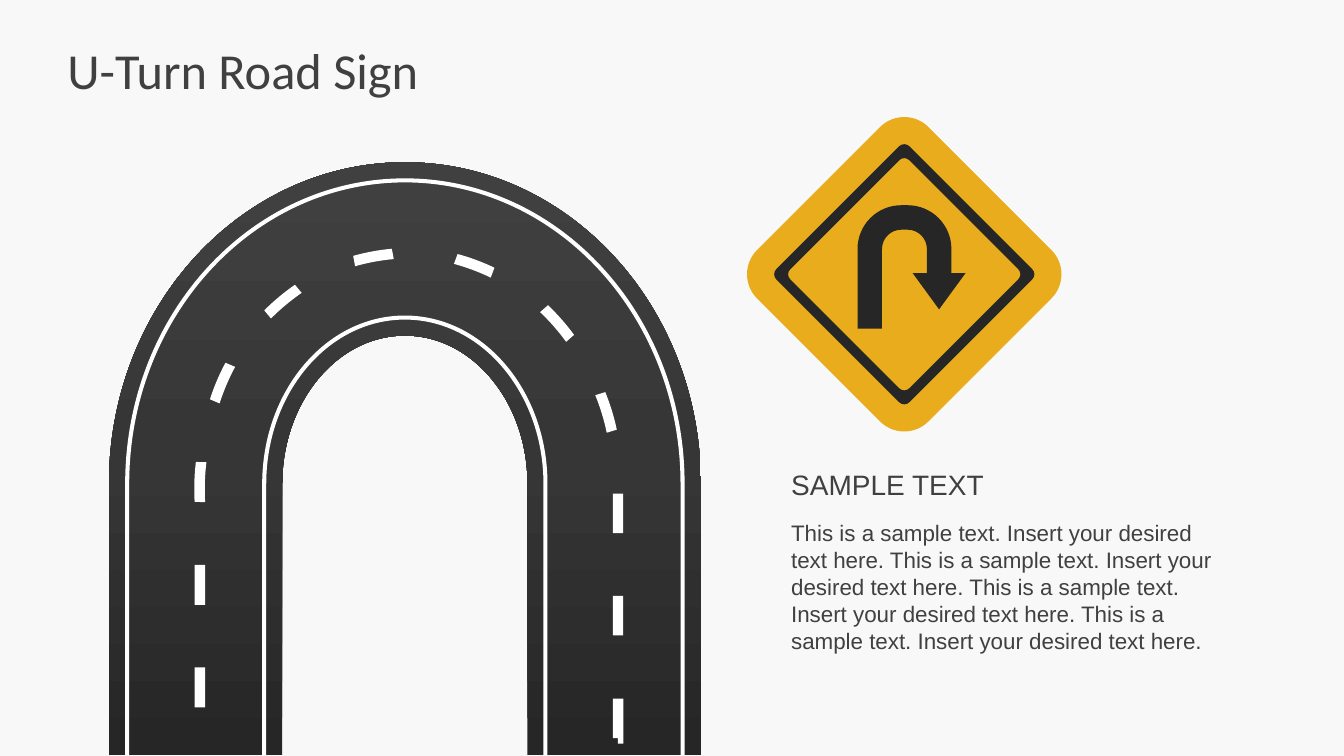
import math
from copy import deepcopy
from typing import NamedTuple

from pptx import Presentation
from pptx import util as u
from pptx.dml.color import RGBColor
from pptx.enum import shapes, text
from pptx.oxml.ns import qn

COLORS = {
    "back": "F8F8F8", "ink": "404040", "paint": "FFFFFF", "sign": "E9AC1C",
    "dark": "262626", "mid": "363636", "light": "404040",
}
Point = tuple[float, float]
Contour = list[tuple[Point, ...]]  # one point is a line, three are a curve

ROAD_X, BEND_Y, ROAD_END = 289.2, 345.6, 539.3
SIGN_X, SIGN_Y = 645.9, 195.9
DASH_W = 7.5


class Label(NamedTuple):
    words: str
    x: float
    y: float
    w: float
    h: float
    font: str
    size: float
    inset_x: float = 7.2
    inset_y: float = 3.6
    anchor: text.MSO_ANCHOR = text.MSO_ANCHOR.TOP
    fit: text.MSO_AUTO_SIZE = text.MSO_AUTO_SIZE.SHAPE_TO_FIT_TEXT


class Arch(NamedTuple):
    rx: float
    ry: float
    thickness: float


class BendDash(NamedTuple):
    x0: float
    y0: float
    x1: float
    y1: float


class DashColumn(NamedTuple):
    x: float
    top: float
    pitch: float
    length: float
    count: int


LABELS = [
    Label("U-Turn Road Sign", 48.2, 21.6, 864, 56.2, "Calibri", 36, 0, 5,
          text.MSO_ANCHOR.MIDDLE, text.MSO_AUTO_SIZE.NONE),
    Label("This is a sample text. Insert your desired text here. This is a sample text. "
          "Insert your desired text here. This is a sample text. Insert your desired text here. "
          "This is a sample text. Insert your desired text here.",
          558, 367.6, 329.8, 104.4, "Arial", 16),
    Label("SAMPLE TEXT", 558, 330.5, 400, 31.7, "Arial", 20),
]
ROAD = Arch(211.4, 229.7, 123.8)
EDGE_LINES = [Arch(101.9, 120.2, 2.9), Arch(199.8, 218.2, 2.9)]
# Clockwise round the bend
BEND_DASHES = [
    BendDash(142.8, 358.6, 143.7, 330.1), BendDash(153.4, 286.7, 164.5, 260.6),
    BendDash(191.2, 224.6, 213.1, 206.3), BendDash(253, 186.5, 280.6, 181.4),
    BendDash(325.6, 185, 351.9, 194.8), BendDash(388.6, 220.5, 407.2, 241.7),
    BendDash(428.8, 281.2, 437, 308),
]
DASH_COLUMNS = [DashColumn(139, 403.4, 73.3, 28.6, 2), DashColumn(437.7, 352.6, 73.1, 28.2, 2)]


def rgb(name: str) -> RGBColor:
    return RGBColor.from_string(COLORS[name])


def paint(sp, color: str) -> None:
    sp.shadow.inherit = False
    sp.fill.solid()
    sp.fill.fore_color.rgb = rgb(color)
    sp.line.fill.background()


def outline(slide, color: str, *contours: Contour):
    """Draw one filled freeform from closed contours of lines and curves."""
    builder = None
    for contour in contours:
        first, *rest = [(u.Pt(x), u.Pt(y)) for segment in contour for x, y in segment]
        if builder is None:
            builder = slide.shapes.build_freeform(*first, scale=1.0)
        else:
            builder.move_to(*first)
        builder.add_line_segments(rest, close=True)
    sp = builder.convert_to_shape()
    paint(sp, color)
    # Join each three points of a curve into one Bézier element
    nodes = iter(sp._element.xpath(".//a:lnTo"))
    for segment in (s for contour in contours for s in contour[1:]):
        head, *others = [next(nodes) for _ in segment]
        for node in others:
            head.append(node[0])
            node.getparent().remove(node)
        if others:
            head.tag = qn("a:cubicBezTo")
    return sp


def lines(*points: Point) -> Contour:
    return [(point,) for point in points]


def arc(cx: float, cy: float, rx: float, ry: float, start: float, end: float,
        steps: int = 1) -> Contour:
    step = math.radians(end - start) / steps
    k = 4 / 3 * math.tan(step / 4)

    def at(a: float, pull: float = 0) -> Point:
        return (cx + rx * (math.cos(a) - pull * math.sin(a)),
                cy + ry * (math.sin(a) + pull * math.cos(a)))
    angles = [math.radians(start) + step * i for i in range(steps + 1)]
    return lines(at(angles[0])) + [(at(a, k), at(b, -k), at(b))
                                   for a, b in zip(angles, angles[1:])]


def draw_arch(slide, arch: Arch, color: str):
    rx, ry = arch.rx - arch.thickness, arch.ry - arch.thickness
    return outline(slide, color, [
        *lines((ROAD_X - arch.rx, ROAD_END)),
        *arc(ROAD_X, BEND_Y, arch.rx, arch.ry, 180, 360, 2),
        *lines((ROAD_X + arch.rx, ROAD_END), (ROAD_X + rx, ROAD_END)),
        *arc(ROAD_X, BEND_Y, rx, ry, 360, 180, 2),
        *lines((ROAD_X - rx, ROAD_END))])


def draw_bend_dash(slide, d: BendDash, bow: float = 0.85) -> None:
    dx, dy = d.x1 - d.x0, d.y1 - d.y0
    length = math.hypot(dx, dy)

    def side(offset: float, order: int) -> Contour:
        shifts = [(0, offset), (1 / 3, offset + bow), (2 / 3, offset + bow), (1, offset)]
        first, *curve = [(d.x0 + dx * t + dy / length * out, d.y0 + dy * t - dx / length * out)
                         for t, out in shifts[::order]]
        return [(first,), tuple(curve)]
    outline(slide, "paint", side(DASH_W / 2, 1) + side(-DASH_W / 2, -1))


def draw_dash_column(slide, c: DashColumn) -> None:
    for i in range(c.count):
        sp = slide.shapes.add_shape(shapes.MSO_SHAPE.RECTANGLE, u.Pt(c.x), u.Pt(c.top + i * c.pitch),
                                    u.Pt(DASH_W), u.Pt(c.length))
        paint(sp, "paint")


def diamond(half: float, radius: float, steps: int, order: int = 1) -> Contour:
    """Square on its corner; half is the centre-to-corner length before rounding."""
    reach = half - radius * math.sqrt(2)
    contour: Contour = []
    for turn in (0, 90, 180, 270)[::order]:
        a = math.radians(turn)
        contour += arc(SIGN_X + reach * math.cos(a), SIGN_Y + reach * math.sin(a),
                       radius, radius, turn - 45 * order, turn + 45 * order, steps)
    return contour


def draw_label(slide, label: Label) -> None:
    sp = slide.shapes.add_textbox(u.Pt(label.x), u.Pt(label.y), u.Pt(label.w), u.Pt(label.h))
    tf = sp.text_frame
    tf.word_wrap = True
    tf.auto_size = label.fit
    tf.vertical_anchor = label.anchor
    tf.margin_left = tf.margin_right = u.Pt(label.inset_x)
    tf.margin_top = tf.margin_bottom = u.Pt(label.inset_y)
    p = tf.paragraphs[0]
    p.text = label.words
    p.font.name, p.font.size = label.font, u.Pt(label.size)
    p.font.color.rgb = rgb("ink")


def shade_road(sp) -> None:
    sp.fill.gradient()
    sp.fill.gradient_angle = 90
    first, last = sp.fill.gradient_stops
    first.position, last.position = 0, 1
    first.color.rgb, last.color.rgb = rgb("mid"), rgb("light")
    # Third stop halfway up
    gs = sp._element.xpath(".//a:gs")[0]
    middle = deepcopy(gs)
    middle.set("pos", "50000")
    gs.addnext(middle)
    first.color.rgb = rgb("dark")


def main() -> None:
    prs = Presentation()
    prs.slide_width, prs.slide_height = u.Pt(960), u.Pt(540)
    slide = prs.slides.add_slide(prs.slide_layouts[6])
    slide.background.fill.solid()
    slide.background.fill.fore_color.rgb = rgb("back")
    for label in LABELS:
        draw_label(slide, label)
    # Road with edge lines and centre dashes
    shade_road(draw_arch(slide, ROAD, "dark"))
    for line in EDGE_LINES:
        draw_arch(slide, line, "paint")
    for dash in BEND_DASHES:
        draw_bend_dash(slide, dash)
    for column in DASH_COLUMNS:
        draw_dash_column(slide, column)
    outline(slide, "paint", lines((437.7, 499), (445.2, 499), (445.2, 531.2), (441.4, 531.2),
                                  (441.4, 527.2), (437.7, 527.2)))
    # Sign plate, border and U-turn arrow
    outline(slide, "sign", diamond(122.4, 24.4, 1))
    outline(slide, "dark", diamond(95, 5, 2), diamond(85, 5, 2, -1))
    left, right, top = 643.8, 648.3, 177.9
    outer, inner, stem_end, head = 31.3, 13.8, 234.7, 195.1
    outline(slide, "dark", [
        *lines((left - outer, stem_end)),
        *arc(left, top, outer, outer, 180, 270), *arc(right, top, outer, outer, 270, 360),
        *lines((right + outer, head), (689.7, head), (670.8, 221), (651.9, head),
               (right + inner, head)),
        *arc(right, top, inner, inner, 360, 270), *arc(left, top, inner, inner, 270, 180),
        *lines((left - inner, stem_end))])
    prs.save("out.pptx")


if __name__ == "__main__":
    main()
